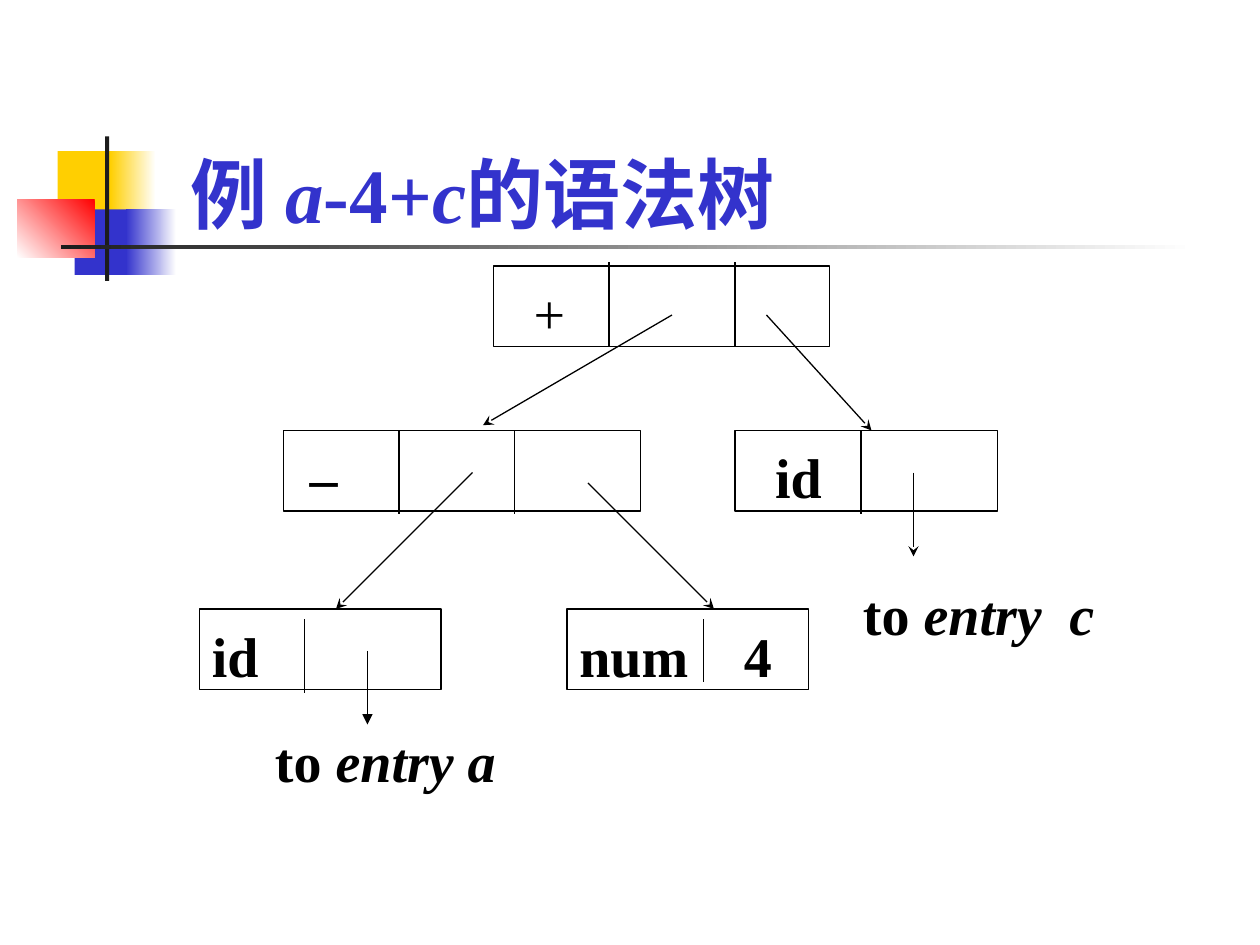
from pptx import Presentation
from pptx.dml.color import RGBColor
from pptx.enum import shapes, text
from pptx.oxml import ns
from pptx.util import Pt
from lxml import etree

HUES = {
    "white": "FFFFFF",
    "black": "000000",
    "gold": "FFCF01",
    "blue": "3333CC",
    "red": "FF0000",
    "dark": "1C1C1C",
}
SERIF = "Times New Roman"
HAN = "Noto Sans CJK SC"


def hue(name):
    return RGBColor.from_string(HUES[name])


def write(para, words, size=32, font=SERIF, color="black", bold=True, italic=False):
    run = para.add_run()
    run.text = words
    face = run.font
    face.size, face.name = Pt(size), font
    face.bold, face.italic = bold, italic
    face.color.rgb = hue(color)
    if font == HAN:
        etree.SubElement(run._r.get_or_add_rPr(), ns.qn("a:ea"), typeface=font)


class Board:
    def __init__(self, slide, width=0.75):
        self.slide = slide
        self.width = width

    def block(self, x, y, w, h, fill, fade=None, angle=180, edge=False):
        shape = self.slide.shapes.add_shape(
            shapes.MSO_SHAPE.RECTANGLE, Pt(x), Pt(y), Pt(w), Pt(h))
        shape.shadow.inherit = False
        if fade:
            shape.fill.gradient()
            shape.fill.gradient_angle = angle
            for stop, name in zip(shape.fill.gradient_stops, (fill, fade)):
                stop.color.rgb = hue(name)
        else:
            shape.fill.solid()
            shape.fill.fore_color.rgb = hue(fill)
        if edge:
            shape.line.color.rgb = hue("black")
            shape.line.width = Pt(self.width)
        else:
            shape.line.fill.background()
        return shape

    def frame(self, shape, left=7.2, top=7, tab=None, anchor=text.MSO_ANCHOR.TOP):
        frame = shape.text_frame
        frame.word_wrap = True
        frame.vertical_anchor = anchor
        frame.margin_left, frame.margin_right = Pt(left), Pt(7.2)
        frame.margin_top, frame.margin_bottom = Pt(top), Pt(3.6)
        para = frame.paragraphs[0]
        para.alignment = text.PP_ALIGN.LEFT
        if tab:
            stops = etree.SubElement(para._p.get_or_add_pPr(), ns.qn("a:tabLst"))
            etree.SubElement(stops, ns.qn("a:tab"), pos=str(Pt(tab)), algn="l")
        return para

    def node(self, x, y, w, words, left=7.2, tab=None, bold=True):
        shape = self.block(x, y, w, 46, "white", edge=True)
        write(self.frame(shape, left, tab=tab), words, bold=bold)

    def label(self, x, y, w, words, tab=None):
        shape = self.slide.shapes.add_textbox(Pt(x), Pt(y), Pt(w), Pt(46))
        para = self.frame(shape, tab=tab)
        write(para, "to ")
        write(para, words, italic=True)

    def line(self, x1, y1, x2, y2, head=None):
        link = self.slide.shapes.add_connector(
            shapes.MSO_CONNECTOR.STRAIGHT, Pt(x1), Pt(y1), Pt(x2), Pt(y2))
        link.line.color.rgb = hue("black")
        link.line.width = Pt(self.width)
        if head:
            etree.SubElement(link.line._get_or_add_ln(), ns.qn("a:tailEnd"), type=head)
        etree.SubElement(link._element.spPr, ns.qn("a:effectLst"))

    def title(self, x, y, w, h, parts):
        shape = self.block(x, y, w, h, "white")
        para = self.frame(shape, top=3.6, anchor=text.MSO_ANCHOR.MIDDLE)
        for words, font, italic in parts:
            write(para, words, size=44, font=font, color="blue", italic=italic)


def main():
    deck = Presentation()
    deck.slide_width, deck.slide_height = Pt(720), Pt(540)
    board = Board(deck.slides.add_slide(deck.slide_layouts[6]))

    board.block(33, 86.4, 34.6, 37.4, "gold")
    board.block(63, 86.4, 26, 37.4, "white", "gold")
    board.block(42.6, 119.7, 33, 37.4, "blue")
    board.block(72, 119.7, 28.8, 37.4, "white", "blue")
    board.block(9.8, 113.8, 44.4, 33.4, "red", "white", angle=225)
    board.block(60, 78, 2.4, 82.6, "dark")
    board.block(34.8, 140, 648, 2.5, "white", "dark")

    board.title(102, 80, 502, 60, [
        ("例 ", HAN, False), ("a", SERIF, True), ("-4+", SERIF, False),
        ("c", SERIF, True), ("的语法树", HAN, False)])

    board.node(114, 348, 138, "id")
    board.node(324, 348, 138, "num\t4", tab=94)
    board.node(162, 246, 204, "–", left=15)
    board.node(420, 246, 150, "id", left=23)
    board.node(282, 152, 192, "+", left=23, bold=False)

    for x, top, end in [(174, 354, 396), (402, 354, 390), (228, 246, 294),
                        (294, 246, 294), (492, 246, 294), (348, 150, 198),
                        (420, 150, 198)]:
        board.line(x, top, x, end)

    for ends in [(270, 270, 192, 348), (336, 276, 408, 348), (522, 270, 522, 318),
                 (438, 180, 498, 246), (384, 180, 276, 243)]:
        board.line(*ends, head="stealth")
    board.line(210, 372, 210, 414, head="triangle")

    board.label(150, 408, 150, "entry a")
    board.label(486, 324, 162, "entry\tc", tab=118)
    deck.save("out.pptx")


if __name__ == "__main__":
    main()
